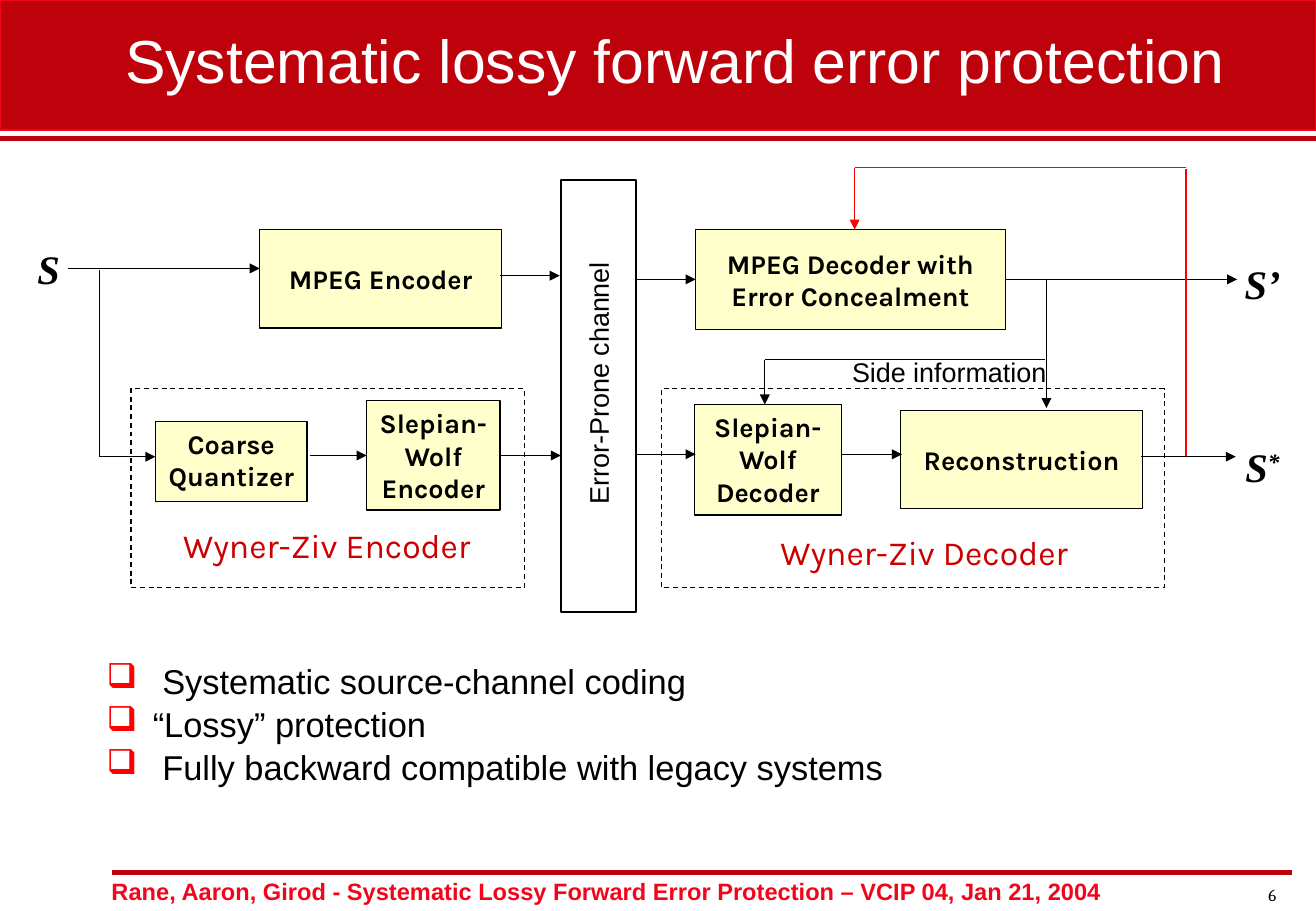
from dataclasses import dataclass, field
from typing import Any, Optional

import lxml.etree
import pptx
import pptx.dml.color
import pptx.enum.dml
import pptx.enum.shapes
import pptx.enum.text
import pptx.oxml.ns
import pptx.util

PX = 9144  # EMU, 100 px to the inch
C = {"band": "BE020B", "bright": "F4041B", "red": "FF0000", "label": "CC0000",
     "cream": "FFFFCC", "black": "000000", "white": "FFFFFF"}
ALIGN = pptx.enum.text.PP_ALIGN
ANCHOR = pptx.enum.text.MSO_ANCHOR
DASH = pptx.enum.dml.MSO_LINE.DASH

BLOCK_FONT = {"name": "Karla", "size": 16, "bold": True}
SIGNAL_FONT = {"name": "Times New Roman", "size": 24, "bold": True, "italic": True}
PLAIN_FONT = {"name": "Arial", "size": 16}
CODER_FONT = {"name": "Karla", "size": 20}


@dataclass
class Box:
    key: str
    at: tuple[int, int, int, int]
    text: str = ""
    fill: Optional[str] = "cream"
    line: str = "black"
    width: float = 0.75
    dash: bool = False
    anchor: Any = ANCHOR.MIDDLE
    margin: int = 10


@dataclass
class Label:
    at: tuple[int, int, int, int]
    text: str
    font: dict[str, Any] = field(default_factory=lambda: PLAIN_FONT)
    color: str = "black"
    align: Any = ALIGN.LEFT
    wrap: bool = True
    rotation: int = 0
    superscript: str = ""


@dataclass
class Line:
    start: tuple[int, int]
    end: tuple[int, int]
    arrow: bool = True
    color: str = "black"
    width: float = 0.75
    begin: Optional[tuple[str, int]] = None
    finish: Optional[tuple[str, int]] = None


BOXES = [
    Box("band", (0, 0, 1084, 107), fill="band", line="bright", width=1),
    Box("channel", (462, 148, 62, 356), fill=None, width=1),
    Box("wz encoder", (108, 320, 324, 164), fill=None, dash=True),
    Box("wz decoder", (545, 320, 414, 164), fill=None, dash=True),
    Box("mpeg encoder", (214, 189, 199, 81), "MPEG Encoder"),
    Box("mpeg decoder", (573, 189, 255, 82), "MPEG Decoder with Error Concealment"),
    Box("quantizer", (128, 347, 125, 66), "Coarse Quantizer", anchor=ANCHOR.TOP, margin=0),
    Box("sw encoder", (302, 330, 110, 90), "Slepian-Wolf Encoder", anchor=ANCHOR.TOP, margin=0),
    Box("sw decoder", (572, 333, 121, 91), "Slepian-Wolf Decoder", anchor=ANCHOR.TOP),
    Box("reconstruction", (742, 338, 199, 81), "Reconstruction"),
]
LINES = [
    Line((0, 114), (1084, 114), False, "band", 3),
    Line((92, 718), (1064, 718), False, "band", 3),
    # Upper path
    Line((56, 221), (214, 221)),
    Line((412, 227), (461, 227)),
    Line((525, 230), (573, 230), finish=("mpeg decoder", 1)),
    Line((828, 230), (1019, 230), begin=("mpeg decoder", 3)),
    # Lower path
    Line((82, 222), (82, 376), False),
    Line((82, 376), (128, 376)),
    Line((255, 375), (302, 375), finish=("sw encoder", 1)),
    Line((412, 375), (462, 375), begin=("sw encoder", 3)),
    Line((524, 374), (573, 374)),
    Line((694, 374), (743, 374)),
    Line((940, 376), (1018, 376)),
    # Side information
    Line((862, 230), (862, 336)),
    Line((861, 296), (630, 296), False),
    Line((630, 296), (630, 333)),
    # Feedback
    Line((977, 375), (977, 139), False, "red"),
    Line((977, 138), (704, 138), False, "red"),
    Line((704, 138), (704, 189), True, "red"),
]
LABELS = [
    Label((363, 297, 260, 37), "Error-Prone channel", align=ALIGN.CENTER, rotation=270),
    Label((692, 288, 180, 37), "Side information", wrap=False),
    Label((141, 427, 265, 44), "Wyner-Ziv Encoder", CODER_FONT, "label", wrap=False),
    Label((633, 433, 260, 77), "Wyner-Ziv Decoder", CODER_FONT, "label"),
    Label((-4, 196, 88, 38), "S", SIGNAL_FONT, align=ALIGN.CENTER),
    Label((996, 208, 88, 38), "S’", SIGNAL_FONT, align=ALIGN.CENTER),
    Label((996, 359, 88, 38), "S", SIGNAL_FONT, align=ALIGN.CENTER, superscript="*"),
    Label((82, 717, 936, 33), "Rane, Aaron, Girod - Systematic Lossy Forward Error Protection – VCIP 04, Jan 21, 2004",
          {"name": "Arial", "size": 14, "bold": True}, "bright"),
    Label((1022, 723, 39, 29), "6", {"name": "Cambria", "size": 10}, align=ALIGN.RIGHT),
]
POINTS = [" Systematic source-channel coding", "“Lossy” protection",
          " Fully backward compatible with legacy systems"]


def rgb(name: str) -> pptx.dml.color.RGBColor:
    return pptx.dml.color.RGBColor.from_string(C[name])


def emu(lengths: tuple[int, ...]) -> list[int]:
    return [n * PX for n in lengths]


def add_xml(parent: Any, tag: str, **attrs: str) -> Any:
    return lxml.etree.SubElement(parent, pptx.oxml.ns.qn(tag), attrs)


def add_run(p: Any, text: str, font: dict[str, Any], color: str = "black") -> Any:
    r = p.add_run()
    r.text = text
    for name, value in font.items():
        setattr(r.font, name, pptx.util.Pt(value) if name == "size" else value)
    r.font.color.rgb = rgb(color)
    return r


def set_frame(tf: Any, **formats: Any) -> None:
    for name, value in formats.items():
        setattr(tf, name, value)


def draw_box(s: Any, box: Box) -> Any:
    sp = s.shapes.add_shape(pptx.enum.shapes.MSO_SHAPE.RECTANGLE, *emu(box.at))
    sp.shadow.inherit = False
    if box.fill:
        sp.fill.solid()
        sp.fill.fore_color.rgb = rgb(box.fill)
    else:
        sp.fill.background()
    sp.line.color.rgb = rgb(box.line)
    sp.line.width = pptx.util.Pt(box.width)
    if box.dash:
        sp.line.dash_style = DASH
    if box.text:
        tf = sp.text_frame
        set_frame(tf, word_wrap=True, vertical_anchor=box.anchor,
                  margin_left=box.margin * PX, margin_right=box.margin * PX)
        tf.paragraphs[0].alignment = ALIGN.CENTER
        add_run(tf.paragraphs[0], box.text, BLOCK_FONT)
    return sp


def draw_line(s: Any, line: Line, boxes: dict[str, Any]) -> None:
    cx = s.shapes.add_connector(pptx.enum.shapes.MSO_CONNECTOR.STRAIGHT, *emu(line.start + line.end))
    cx.line.color.rgb = rgb(line.color)
    cx.line.width = pptx.util.Pt(line.width)
    if line.begin:
        cx.begin_connect(boxes[line.begin[0]], line.begin[1])
    if line.finish:
        cx.end_connect(boxes[line.finish[0]], line.finish[1])
    if line.arrow:
        add_xml(cx.line._get_or_add_ln(), "a:tailEnd", type="triangle")
    add_xml(cx.element.spPr, "a:effectLst")


def draw_label(s: Any, label: Label) -> None:
    sp = s.shapes.add_textbox(*emu(label.at))
    sp.rotation = label.rotation
    tf = sp.text_frame
    tf.word_wrap = label.wrap
    if not label.wrap:
        tf.auto_size = pptx.enum.text.MSO_AUTO_SIZE.SHAPE_TO_FIT_TEXT
    p = tf.paragraphs[0]
    p.alignment = label.align
    add_run(p, label.text, label.font, label.color)
    if label.superscript:
        r = add_run(p, label.superscript, label.font, label.color)
        r.font._element.set("baseline", "30000")


def draw_points(s: Any) -> None:
    tf = s.shapes.add_textbox(*emu((78, 545, 949, 123))).text_frame
    tf.word_wrap = True
    for i, text in enumerate(POINTS):
        p = tf.add_paragraph() if i else tf.paragraphs[0]
        p.line_spacing = 0.8
        p.space_before = pptx.util.Pt(6)
        add_run(p, text, {"name": "Arial", "size": 20.4})
        pPr = p._p.get_or_add_pPr()
        pPr.set("marL", str(38 * PX))
        pPr.set("indent", str(-38 * PX))
        add_xml(add_xml(pPr, "a:buClr"), "a:srgbClr", val=C["red"])
        add_xml(pPr, "a:buChar", char="❑")


def draw_title(s: Any, band: Any) -> None:
    title = s.shapes.title
    title.element.addprevious(band.element)
    title.left, title.top, title.width, title.height = emu((29, 18, 1054, 66))
    tf = title.text_frame
    set_frame(tf, word_wrap=True, vertical_anchor=ANCHOR.BOTTOM,
              auto_size=pptx.enum.text.MSO_AUTO_SIZE.NONE)
    tf.paragraphs[0].alignment = ALIGN.CENTER
    add_run(tf.paragraphs[0], "Systematic lossy forward error protection",
            {"name": "Arial", "size": 36}, "white")


def main() -> None:
    prs = pptx.Presentation()
    prs.slide_width, prs.slide_height = emu((1084, 750))
    s = prs.slides.add_slide(prs.slide_layouts[5])
    boxes = {box.key: draw_box(s, box) for box in BOXES}
    draw_title(s, boxes["band"])
    for line in LINES:
        draw_line(s, line, boxes)
    for label in LABELS:
        draw_label(s, label)
    draw_points(s)
    prs.save("out.pptx")


if __name__ == "__main__":
    main()
